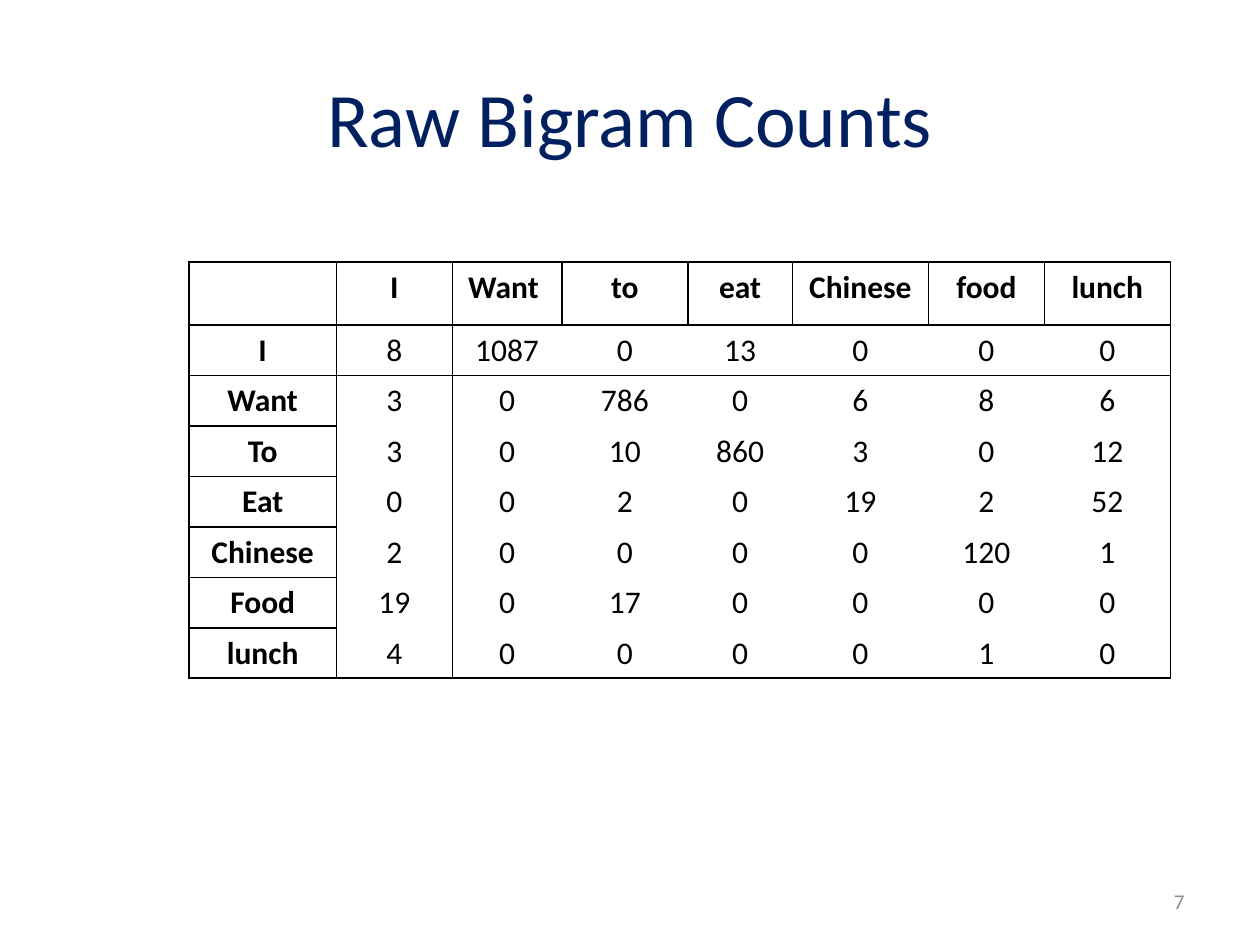
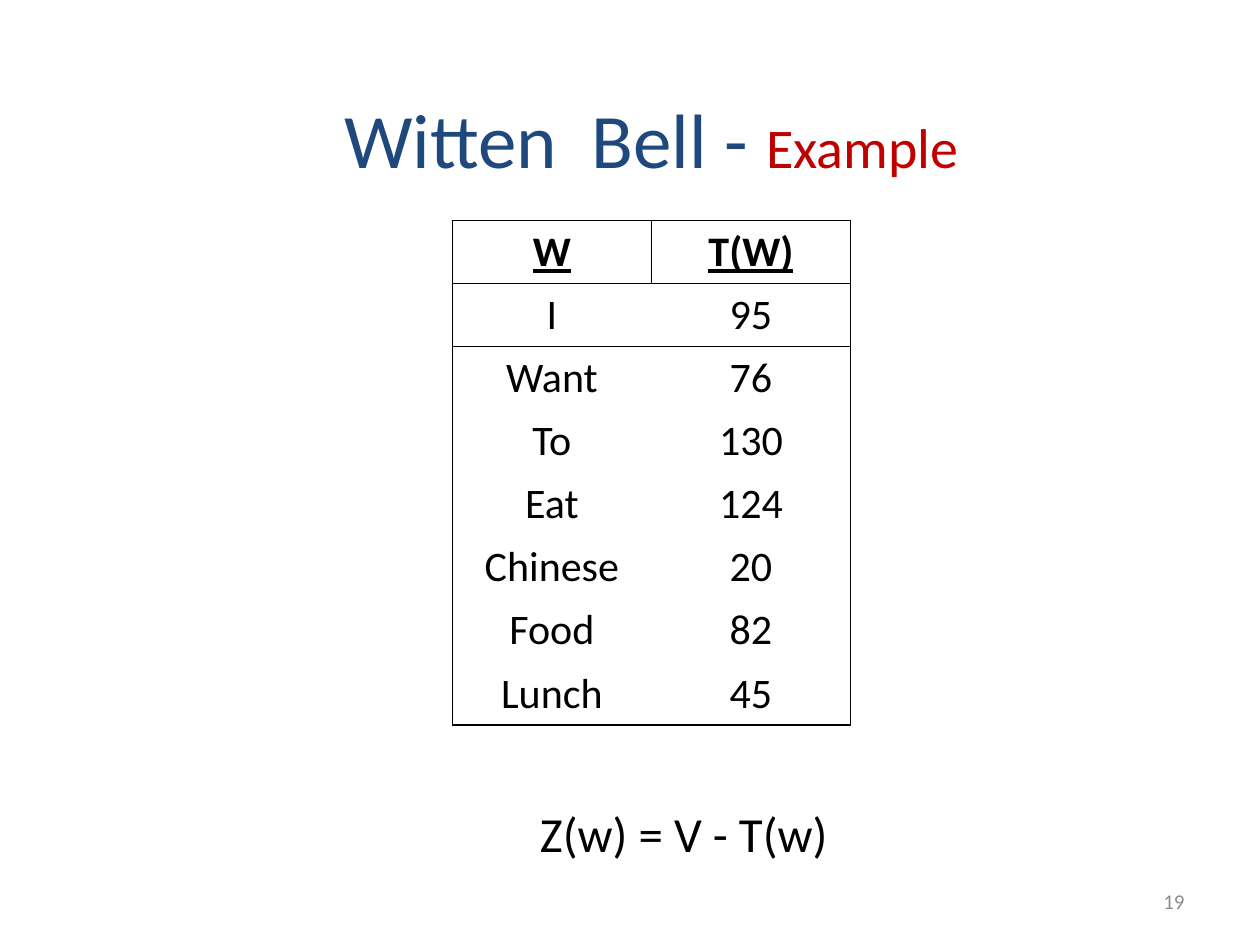
from dataclasses import dataclass

from pptx import Presentation
from pptx import util as u
from pptx.dml.color import RGBColor
from pptx.enum import text
from pptx.oxml import parse_xml
from pptx.oxml.ns import nsdecls
from pptx.slide import Slide
from pptx.table import _Cell as Cell
from pptx.text.text import _Run as Run

EMU_PER_PX = 9144  # 100 px to the inch
PLAIN_TABLE_STYLE = "{2D5ABB26-0587-4C30-8999-92F81FD0307C}"


@dataclass(frozen=True)
class Theme:
    font: str = "Calibri"
    ink: str = "000000"
    navy: str = "002060"
    blue: str = "1F497D"
    red: str = "C00000"
    grey: str = "8C8C8C"
    title_size: int = 44
    subtitle_size: int = 32
    formula_size: int = 28
    number_size: int = 12
    border_width: int = 1


@dataclass(frozen=True)
class Box:
    left: int
    top: int
    width: int
    height: int

    def emu(self) -> tuple[int, int, int, int]:
        return px(self.left), px(self.top), px(self.width), px(self.height)


@dataclass(frozen=True)
class Span:
    words: str
    size: int
    color: str


@dataclass(frozen=True)
class Grid:
    left: int
    top: int
    widths: tuple[int, ...]
    heights: tuple[int, ...]
    size: int
    rows: tuple[tuple[str, ...], ...]
    header_column: bool = False
    underline_header: bool = False

    def is_header(self, row: int, column: int) -> bool:
        return row == 0 or (self.header_column and column == 0)

    def edges(self, row: int, column: int) -> str:
        """Sides with a line: all of a header cell, else those on a header or the rim."""
        if self.is_header(row, column):
            return "LRTB"
        lined = {
            "L": column == 0 or self.is_header(row, column - 1),
            "R": column == len(self.widths) - 1,
            "T": self.is_header(row - 1, column),
            "B": row == len(self.rows) - 1,
        }
        return "".join(side for side, drawn in lined.items() if drawn)


THEME = Theme()
NUMBER_BOX = Box(717, 695, 233, 40)

BIGRAM_COUNTS = Grid(
    left=150, top=208, size=18, header_column=True,
    widths=(117, 92, 87, 100, 83, 108, 92, 100),
    heights=(50,) + (40,) * 7,
    rows=(
        ("", "I", "Want ", "to", "eat", "Chinese", "food", "lunch"),
        ("I", "8", "1087", "0", "13", "0", "0", "0"),
        ("Want", "3", "0", "786", "0", "6", "8", "6"),
        ("To", "3", "0", "10", "860", "3", "0", "12"),
        ("Eat", "0", "0", "2", "0", "19", "2", "52"),
        ("Chinese", "2", "0", "0", "0", "0", "120", "1"),
        ("Food", "19", "0", "17", "0", "0", "0", "0"),
        ("lunch", "4", "0", "0", "0", "0", "1", "0"),
    ),
)

WORD_TYPES = Grid(
    left=359, top=175, size=24, underline_header=True,
    widths=(158,) * 2,
    heights=(50,) * 8,
    rows=(
        ("W", "T(W)"),
        ("I", "95"),
        ("Want", "76"),
        ("To", "130"),
        ("Eat", "124"),
        ("Chinese", "20"),
        ("Food", "82"),
        ("Lunch", "45"),
    ),
)


def px(length: int) -> int:
    return u.Emu(length * EMU_PER_PX)


def format_run(run: Run, size: int, color: str) -> None:
    run.font.name = THEME.font
    run.font.size = u.Pt(size)
    run.font.color.rgb = RGBColor.from_string(color)


def add_titled_page(deck: Presentation, box: Box, spans: list[Span], number: int) -> Slide:
    page = deck.slides.add_slide(deck.slide_layouts.get_by_name("Title Only"))
    title = page.shapes.title
    title.left, title.top, title.width, title.height = box.emu()
    title.text_frame.vertical_anchor = text.MSO_ANCHOR.MIDDLE
    para = title.text_frame.paragraphs[0]
    para.alignment = text.PP_ALIGN.CENTER
    for span in spans:
        run = para.add_run()
        run.text = span.words
        format_run(run, span.size, span.color)
    add_line_of_text(page, NUMBER_BOX, Span(str(number), THEME.number_size, THEME.grey),
                     text.PP_ALIGN.RIGHT, text.MSO_ANCHOR.MIDDLE)
    return page


def add_line_of_text(page: Slide, box: Box, span: Span, align: text.PP_ALIGN,
                     anchor: text.MSO_ANCHOR, wrap: bool = True) -> None:
    frame = page.shapes.add_textbox(*box.emu()).text_frame
    frame.word_wrap = wrap
    frame.vertical_anchor = anchor
    frame.text = span.words
    para = frame.paragraphs[0]
    para.alignment = align
    format_run(para.runs[0], span.size, span.color)


def draw_borders(cell: Cell, sides: str) -> None:
    properties = cell._tc.get_or_add_tcPr()
    for side in sides:
        properties.append(parse_xml(
            f'<a:ln{side} {nsdecls("a")} w="{u.Pt(THEME.border_width)}">'
            f'<a:solidFill><a:srgbClr val="{THEME.ink}"/></a:solidFill></a:ln{side}>'
        ))


def add_grid(page: Slide, grid: Grid) -> None:
    box = Box(grid.left, grid.top, sum(grid.widths), sum(grid.heights))
    table = page.shapes.add_table(len(grid.rows), len(grid.widths), *box.emu()).table
    table.first_row = table.horz_banding = False
    table._tbl.tblPr[0].text = PLAIN_TABLE_STYLE
    for column, width in zip(table.columns, grid.widths):
        column.width = px(width)
    for row, height in zip(table.rows, grid.heights):
        row.height = px(height)
    for r, words in enumerate(grid.rows):
        for c, word in enumerate(words):
            cell = table.cell(r, c)
            draw_borders(cell, grid.edges(r, c))
            cell.fill.background()
            if not word:
                continue
            cell.text_frame.text = word
            para = cell.text_frame.paragraphs[0]
            para.alignment = text.PP_ALIGN.CENTER
            run = para.runs[0]
            format_run(run, grid.size, THEME.ink)
            run.font.bold = grid.is_header(r, c)
            run.font.underline = grid.underline_header and r == 0


def add_bigram_counts(deck: Presentation) -> None:
    page = add_titled_page(deck, Box(50, 30, 900, 125),
                           [Span("Raw Bigram Counts", THEME.title_size, THEME.navy)], 7)
    add_grid(page, BIGRAM_COUNTS)


def add_witten_bell(deck: Presentation) -> None:
    page = add_titled_page(deck, Box(67, 47, 900, 125), [
        Span("Witten  Bell - ", THEME.title_size, THEME.blue),
        Span("Example", THEME.subtitle_size, THEME.red),
    ], 19)
    add_grid(page, WORD_TYPES)
    add_line_of_text(page, Box(417, 633, 260, 57),
                     Span("Z(w) = V - T(w) ", THEME.formula_size, THEME.ink),
                     text.PP_ALIGN.CENTER, text.MSO_ANCHOR.TOP, wrap=False)


def main() -> None:
    deck = Presentation()
    deck.slide_width, deck.slide_height = px(1000), px(750)
    add_bigram_counts(deck)
    add_witten_bell(deck)
    deck.save("out.pptx")


if __name__ == "__main__":
    main()
